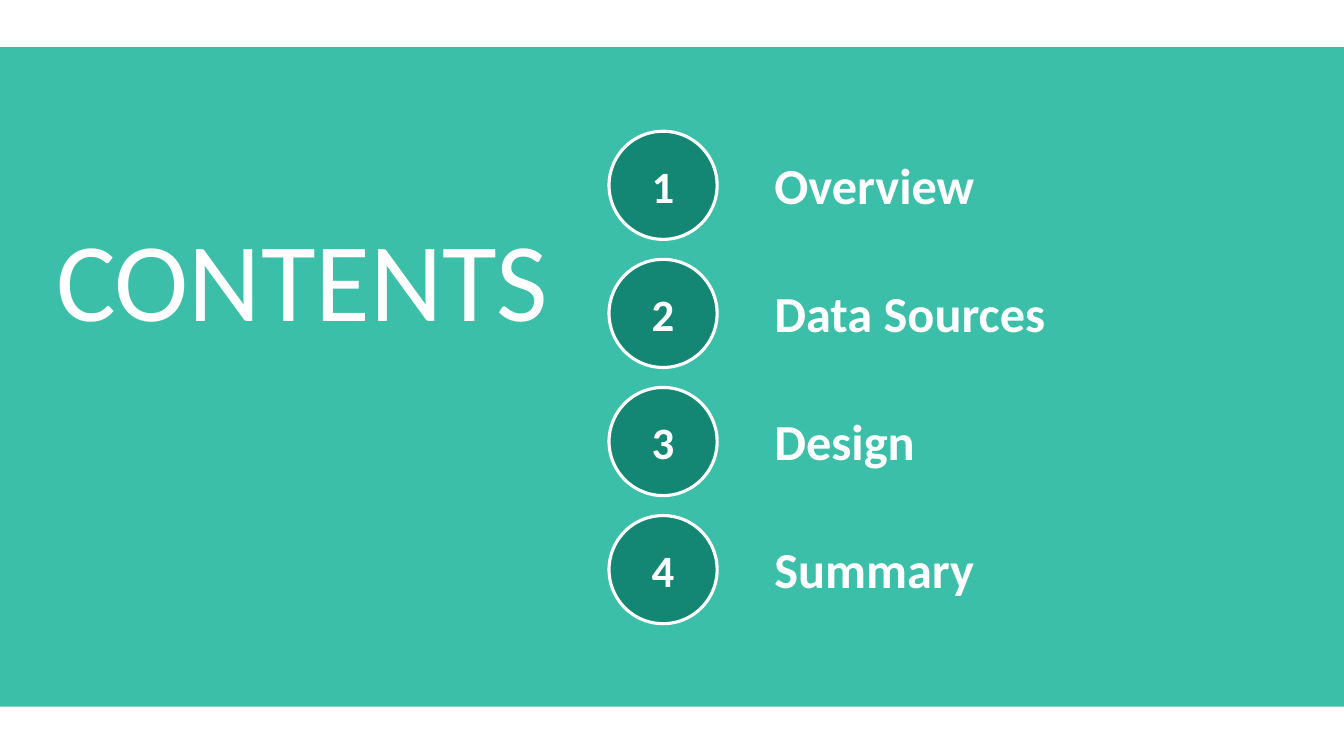
from typing import NamedTuple

from lxml.etree import SubElement
from pptx import Presentation
from pptx.dml.color import RGBColor
from pptx.enum.shapes import MSO_SHAPE as Shape
from pptx.enum.text import MSO_ANCHOR as Anchor, MSO_AUTO_SIZE as AutoSize, PP_ALIGN as Align
from pptx.oxml.ns import qn
from pptx.util import Emu, Pt

EMU_PER_PX = 9525
SLIDE_WIDTH, SLIDE_HEIGHT = 1280, 720
COLORS = {"band": "19B49B", "circle": "138774", "white": "FFFFFF"}
BAND_OPACITY = 85

CIRCLE_LEFT, CIRCLE_TOP, CIRCLE_SIZE = 580, 125, 103
LABEL_LEFT, LABEL_TOP, LABEL_HEIGHT = 728, 142, 68
ENTRY_PITCH = 122


class Entry(NamedTuple):
    label: str
    label_width: int


ENTRIES = [
    Entry("Overview", 212),
    Entry("Data Sources", 282),
    Entry("Design", 155),
    Entry("Summary", 211),
]


def px(length: int) -> Emu:
    return Emu(length * EMU_PER_PX)


def color(name: str) -> RGBColor:
    return RGBColor.from_string(COLORS[name])


def write(shape, text: str, *, size: int, bold: bool = False, align=Align.LEFT,
          anchor=Anchor.TOP, grow: bool = True) -> None:
    """Put white text in a shape; a growing shape fits its unwrapped text."""
    frame = shape.text_frame
    frame.text = text
    frame.word_wrap = not grow
    frame.auto_size = AutoSize.SHAPE_TO_FIT_TEXT if grow else AutoSize.NONE
    frame.vertical_anchor = anchor
    paragraph = frame.paragraphs[0]
    paragraph.alignment = align
    font = paragraph.runs[0].font
    font.name, font.size, font.bold = "Calibri", Pt(size), bold
    font.color.rgb = color("white")


def add_filled(slide, kind, left: int, top: int, width: int, height: int, fill: str):
    shape = slide.shapes.add_shape(kind, px(left), px(top), px(width), px(height))
    shape.shadow.inherit = False
    shape.fill.solid()
    shape.fill.fore_color.rgb = color(fill)
    return shape


def add_band(slide) -> None:
    """Draw the translucent band behind everything else, the title included."""
    band = add_filled(slide, Shape.RECTANGLE, 0, 45, SLIDE_WIDTH, 628, "band")
    band.line.fill.background()
    fill_color = band._element.spPr.find(qn("a:solidFill"))[0]
    SubElement(fill_color, qn("a:alpha"), val=str(BAND_OPACITY * 1000))
    slide.shapes._spTree.insert(2, band._element)


def add_entry(slide, index: int, entry: Entry) -> None:
    offset = index * ENTRY_PITCH
    circle = add_filled(slide, Shape.OVAL, CIRCLE_LEFT, CIRCLE_TOP + offset,
                        CIRCLE_SIZE, CIRCLE_SIZE, "circle")
    circle.line.color.rgb = color("white")
    circle.line.width = Pt(2.25)
    write(circle, str(index + 1), size=32, bold=True, align=Align.CENTER,
          anchor=Anchor.MIDDLE, grow=False)
    label = slide.shapes.add_textbox(px(LABEL_LEFT), px(LABEL_TOP + offset),
                                     px(entry.label_width), px(LABEL_HEIGHT))
    write(label, entry.label, size=36, bold=True)


def main() -> None:
    deck = Presentation()
    deck.slide_width, deck.slide_height = px(SLIDE_WIDTH), px(SLIDE_HEIGHT)
    slide = deck.slides.add_slide(deck.slide_layouts[5])
    add_band(slide)
    title = slide.shapes.title
    title.left, title.top, title.width, title.height = map(px, (42, 195, 492, 139))
    write(title, "CONTENTS", size=80, align=Align.CENTER)
    for index, entry in enumerate(ENTRIES):
        add_entry(slide, index, entry)
    deck.save("out.pptx")


if __name__ == "__main__":
    main()
